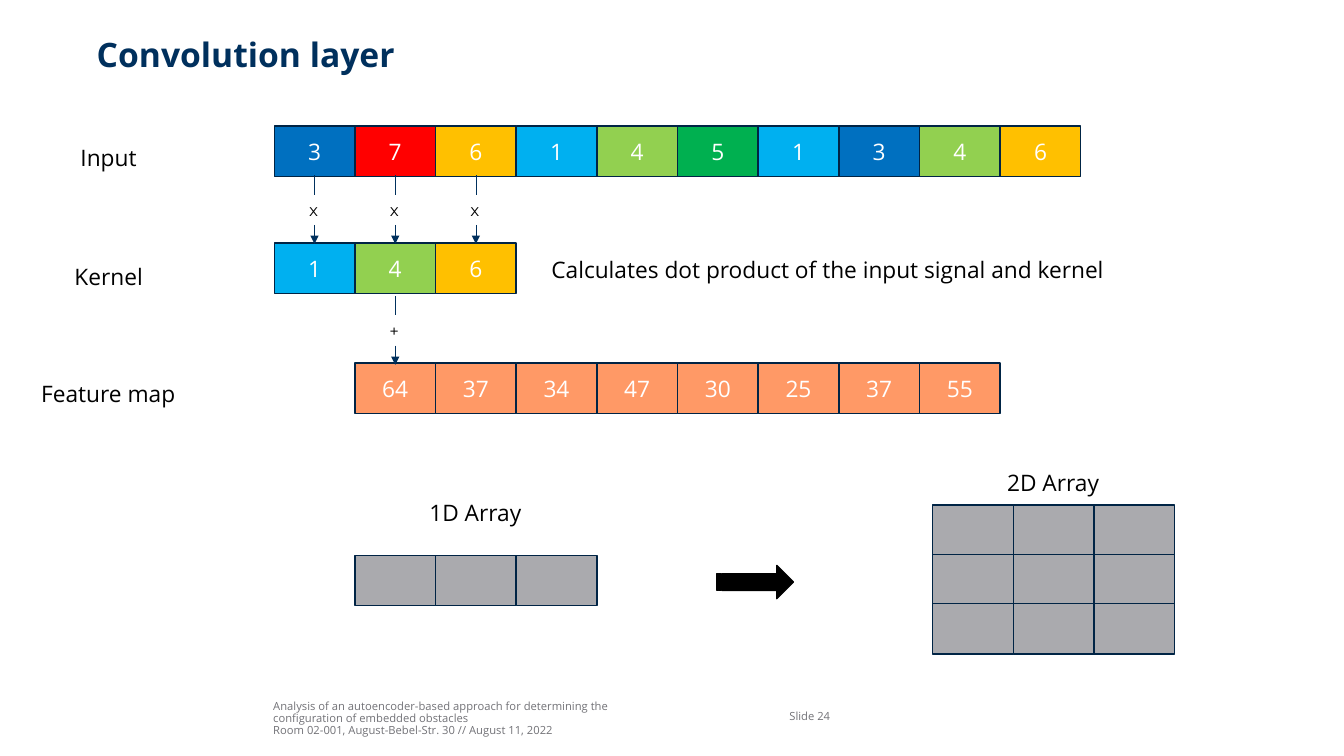
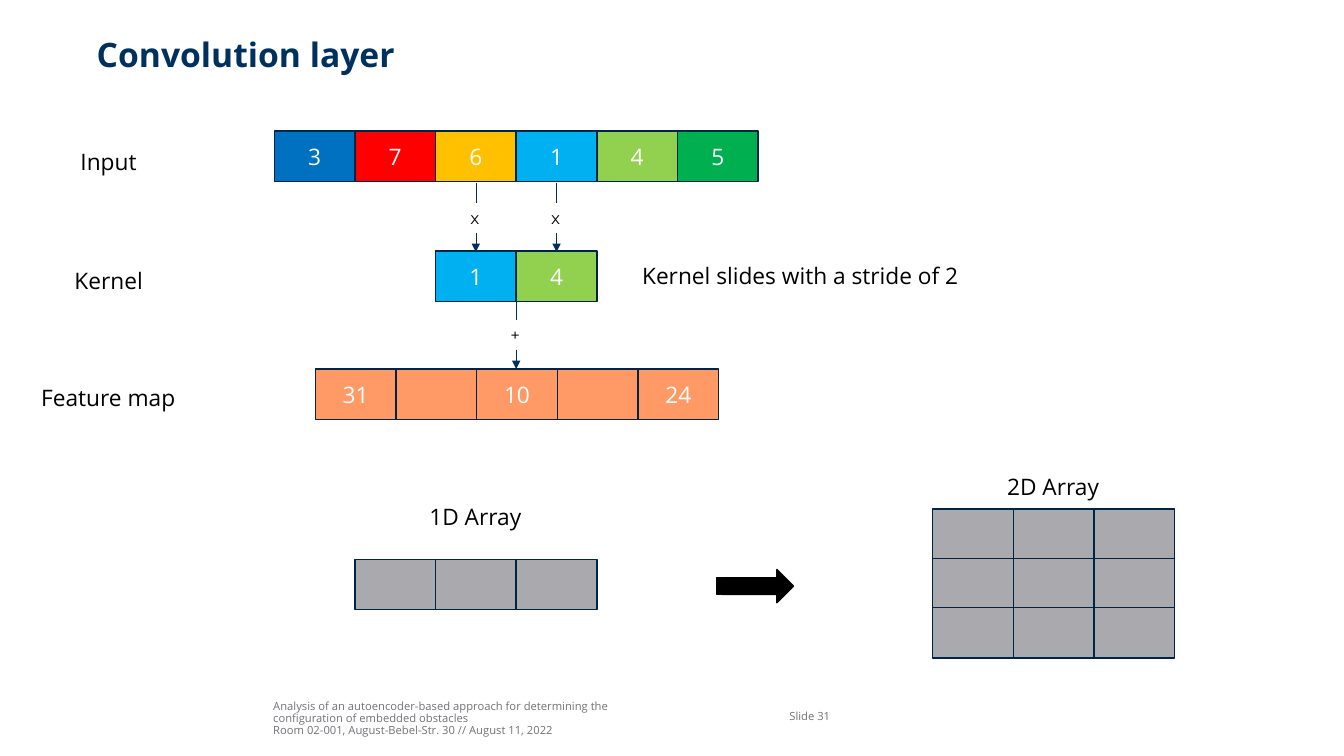
from dataclasses import dataclass

from lxml.etree import SubElement
from pptx import Presentation
from pptx.dml.color import RGBColor
from pptx.enum.shapes import MSO_CONNECTOR, MSO_SHAPE
from pptx.enum.text import MSO_ANCHOR, PP_ALIGN
from pptx.oxml.ns import qn
from pptx.shapes.autoshape import Shape
from pptx.slide import Slide
from pptx.util import Inches, Pt

WHITE = RGBColor(0xFF, 0xFF, 0xFF)
BLACK = RGBColor(0x00, 0x00, 0x00)
NAVY = RGBColor(0x00, 0x30, 0x5D)
OUTLINE = RGBColor(0x00, 0x24, 0x45)
FOOTER_GRAY = RGBColor(0x72, 0x72, 0x77)
ARRAY_GRAY = RGBColor(0xAA, 0xAA, 0xAE)
ORANGE = RGBColor(0xFF, 0x99, 0x66)
VALUE_COLORS = {
    "1": RGBColor(0x00, 0xB0, 0xF0),
    "3": RGBColor(0x00, 0x70, 0xC0),
    "4": RGBColor(0x92, 0xD0, 0x50),
    "5": RGBColor(0x00, 0xB0, 0x50),
    "6": RGBColor(0xFF, 0xC0, 0x00),
    "7": RGBColor(0xFF, 0x00, 0x00),
}

FONT, OPERATOR_FONT = "Open Sans", "Montserrat"
BODY_SIZE = 16.2
GRID_LEFT, COL, ROW = 2.72, 0.8, 0.5
ARRAY_ROW = 0.49
STEM, OPERATOR_W, OPERATOR_H = 0.19, 0.31, 0.3

TITLE = "Convolution layer"
FOOTER = [
    "Analysis of an autoencoder-based approach for determining the",
    "configuration of embedded obstacles",
    "Room 02-001, August-Bebel-Str. 30 // August 11, 2022",
]


@dataclass(frozen=True)
class Signal:
    """A row of cells that starts at a grid column."""
    col: float
    top: float
    values: list[str]
    fill: RGBColor | None = None


@dataclass(frozen=True)
class Operation:
    """An arrow centred on a grid column, interrupted by its operator."""
    symbol: str
    col: float
    top: float


@dataclass(frozen=True)
class Label:
    text: str
    left: float
    top: float
    width: float


@dataclass(frozen=True)
class Convolution:
    number: int
    shift: float
    signals: list[Signal]
    operations: list[Operation]
    note: Label


LABELS = [
    Label("Input", 0.7, 1.38, 0.76),
    Label("Kernel", 0.64, 2.56, 0.89),
    Label("Feature map", 0.31, 3.72, 1.55),
    Label("1D Array", 4.16, 4.9, 1.12),
    Label("2D Array", 9.89, 4.6, 1.12),
]

CONVOLUTIONS = [
    Convolution(
        24, 0,
        [Signal(0, 1.25, list("3761451346")),
         Signal(0, 2.41, list("146")),
         Signal(1, 3.6, "64 37 34 47 30 25 37 55".split(), ORANGE)],
        [*(Operation("x", col + 0.5, 1.74) for col in range(3)),
         Operation("+", 1.5, 2.94)],
        Label("Calculates dot product of the input signal and kernel",
              5.37, 2.49, 5.75)),
    Convolution(
        31, 0.04,
        [Signal(0, 1.3, list("376145")),
         Signal(2, 2.49, list("14")),
         Signal(0.51, 3.66, ["31", "", "10", "", "24"], ORANGE)],
        [*(Operation("x", col + 0.5, 1.82) for col in (2, 3)),
         Operation("+", 3, 2.98)],
        Label("Kernel slides with a stride of 2", 6.27, 2.55, 3.38)),
]


def grid_x(col: float) -> float:
    return GRID_LEFT + col * COL


def add_text(s: Slide, lines: list[str], left: float, top: float, width: float,
             height: float, size: float, color: RGBColor, *, wrap: bool = True,
             inset: bool = False, anchor: MSO_ANCHOR = MSO_ANCHOR.TOP,
             spacing: float = 1.0, bold: bool = False) -> None:
    sp = s.shapes.add_textbox(Inches(left), Inches(top), Inches(width), Inches(height))
    tf = sp.text_frame
    tf.word_wrap = wrap
    tf.vertical_anchor = anchor
    if not inset:
        tf.margin_left = tf.margin_right = tf.margin_top = tf.margin_bottom = 0
    tf.text = "\n".join(lines)
    for p in tf.paragraphs:
        p.line_spacing = spacing
        p.font.name, p.font.size, p.font.bold = FONT, Pt(size), bold
        p.font.color.rgb = color


def add_label(s: Slide, label: Label, shift: float = 0) -> None:
    add_text(s, [label.text], label.left, label.top + shift, label.width, 0.37,
             BODY_SIZE, BLACK, wrap=False, inset=True)


def add_block(s: Slide, left: float, top: float, width: float, height: float,
              fill: RGBColor, line: RGBColor | None,
              kind: MSO_SHAPE = MSO_SHAPE.RECTANGLE) -> Shape:
    sp = s.shapes.add_shape(kind, Inches(left), Inches(top), Inches(width), Inches(height))
    sp.shadow.inherit = False
    sp.fill.solid()
    sp.fill.fore_color.rgb = fill
    if line is None:
        sp.line.fill.background()
    else:
        sp.line.color.rgb = line
        sp.line.width = Pt(1)
    return sp


def write_in(sp: Shape, text: str, font: str, size: float, color: RGBColor) -> None:
    p = sp.text_frame.paragraphs[0]
    p.text = text
    p.alignment = PP_ALIGN.CENTER
    p.font.name, p.font.size = font, Pt(size)
    p.font.color.rgb = color


def add_signal(s: Slide, signal: Signal) -> None:
    for i, value in enumerate(signal.values):
        fill = signal.fill or VALUE_COLORS[value]
        sp = add_block(s, grid_x(signal.col + i), signal.top, COL, ROW, fill, OUTLINE)
        if value:
            write_in(sp, value, FONT, BODY_SIZE, WHITE)


def add_array(s: Slide, left: float, top: float, rows: int, cols: int) -> None:
    for row in range(rows):
        for col in range(cols):
            add_block(s, left + col * COL, top + row * ARRAY_ROW, COL, ROW,
                      ARRAY_GRAY, OUTLINE)


def add_stem(s: Slide, x: float, top: float, arrow: bool) -> None:
    line = s.shapes.add_connector(MSO_CONNECTOR.STRAIGHT, Inches(x), Inches(top),
                                  Inches(x), Inches(top + STEM))
    line.line.color.rgb = NAVY
    line.line.width = Pt(0.5)
    if arrow:
        SubElement(line.line._get_or_add_ln(), qn("a:tailEnd"), type="triangle")
    SubElement(line._element.spPr, qn("a:effectLst"))


def add_operation(s: Slide, op: Operation) -> None:
    x = grid_x(op.col)
    sp = add_block(s, x - OPERATOR_W / 2 - 0.01, op.top + STEM, OPERATOR_W, OPERATOR_H,
                   WHITE, None)
    sp.text_frame.word_wrap = False
    write_in(sp, op.symbol, OPERATOR_FONT, 12, BLACK)
    add_stem(s, x, op.top, arrow=False)
    add_stem(s, x, op.top + STEM + OPERATOR_H, arrow=True)


def add_frame(s: Slide, number: int) -> None:
    """Title, footer and slide number."""
    add_text(s, [TITLE], 0.96, 0.38, 11.57, 0.75, 24, NAVY, spacing=0.9, bold=True)
    add_text(s, FOOTER, 2.71, 6.91, 4.9, 0.4, 8, FOOTER_GRAY,
             anchor=MSO_ANCHOR.BOTTOM, spacing=0.9)
    add_text(s, [f"Slide {number}"], 7.83, 6.9, 0.77, 0.4, 8, FOOTER_GRAY,
             anchor=MSO_ANCHOR.MIDDLE)


def add_convolution(s: Slide, convolution: Convolution) -> None:
    shift = convolution.shift
    add_frame(s, convolution.number)
    for signal in convolution.signals:
        add_signal(s, signal)
    for op in convolution.operations:
        add_operation(s, op)
    for label in LABELS:
        add_label(s, label, shift)
    add_label(s, convolution.note)
    add_array(s, grid_x(1), 5.51 + shift, rows=1, cols=3)
    add_array(s, 9.25, 5.01 + shift, rows=3, cols=3)
    add_block(s, 7.11, 5.61 + shift, 0.76, 0.33, BLACK, BLACK,
              MSO_SHAPE.STRIPED_RIGHT_ARROW)


def main() -> None:
    prs = Presentation()
    prs.slide_width, prs.slide_height = Inches(13.33), Inches(7.5)
    for convolution in CONVOLUTIONS:
        add_convolution(prs.slides.add_slide(prs.slide_layouts[6]), convolution)
    prs.save("out.pptx")


if __name__ == "__main__":
    main()
